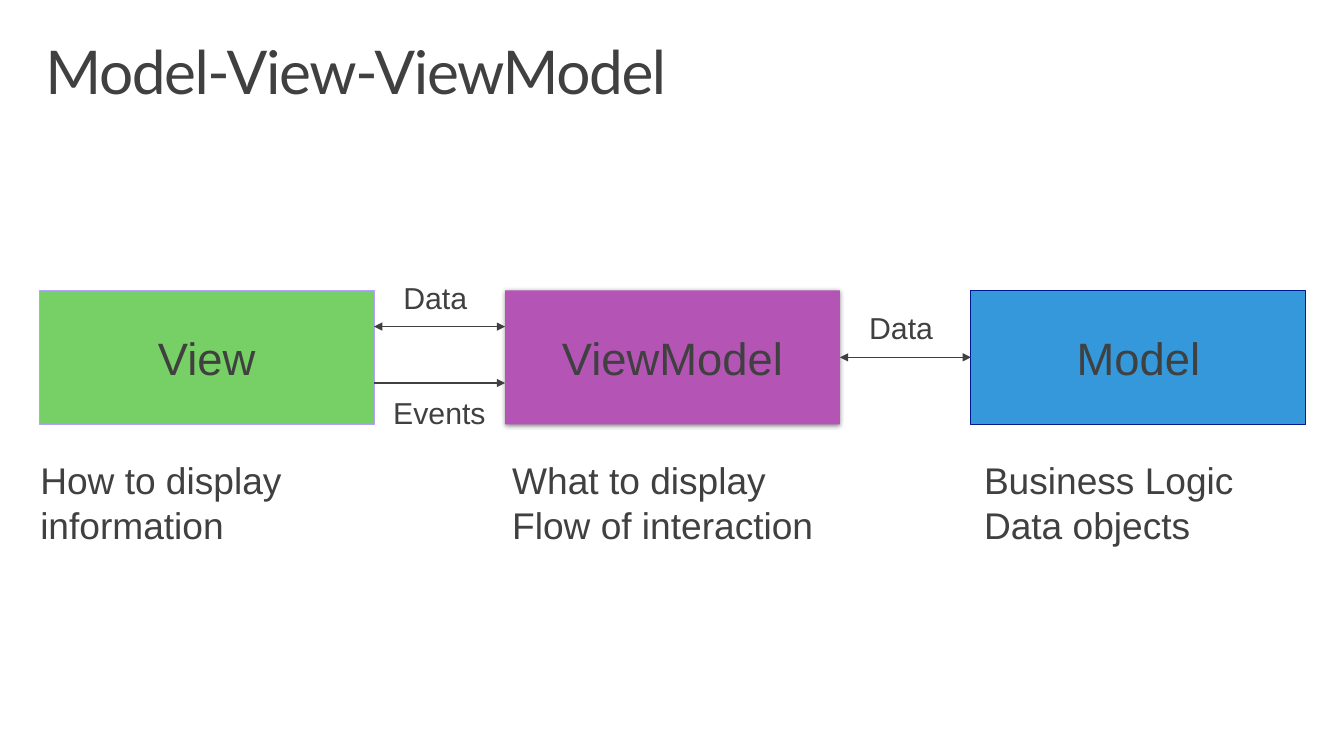
from typing import NamedTuple, Optional

from lxml import etree
from pptx import Presentation
from pptx.dml.color import RGBColor
from pptx.enum.shapes import MSO_CONNECTOR, MSO_SHAPE
from pptx.enum.text import MSO_ANCHOR, MSO_AUTO_SIZE, PP_ALIGN
from pptx.oxml.ns import qn
from pptx.util import Inches, Pt

RECT = MSO_SHAPE.RECTANGLE
STRAIGHT = MSO_CONNECTOR.STRAIGHT
TOP, MIDDLE = MSO_ANCHOR.TOP, MSO_ANCHOR.MIDDLE
LEFT, CENTER = PP_ALIGN.LEFT, PP_ALIGN.CENTER
NO_FIT, GROW = MSO_AUTO_SIZE.NONE, MSO_AUTO_SIZE.SHAPE_TO_FIT_TEXT

TEXT = RGBColor(0x40, 0x40, 0x40)
GREEN = RGBColor(0x77, 0xD0, 0x65)
LILAC = RGBColor(0xB4, 0xA0, 0xFF)
PURPLE = RGBColor(0xB4, 0x55, 0xB6)
BLUE = RGBColor(0x34, 0x98, 0xDB)
NAVY = RGBColor(0x00, 0x18, 0x8F)

# Grid: three layers of equal width and the gaps between them, in inches
GRID_LEFT, LAYER_W, GAP = 0.39, 3.32, 1.3
LAYER_TOP, LAYER_H = 2.88, 1.33
CAPTION_LEFT, CAPTION_PITCH, CAPTION_TOP = 0.27, 4.68, 4.47
LABEL_H = 0.49


class Layer(NamedTuple):
    name: str
    fill: RGBColor
    line: Optional[RGBColor]
    caption: str
    caption_w: float
    caption_h: float


class Flow(NamedTuple):
    label: str
    gap: int               # gap to the right of this layer
    y: Optional[float]     # None joins the middles of the layers
    both_ways: bool
    label_dx: float        # label offset from the start of the gap
    label_top: float
    label_w: float


LAYERS = [
    Layer("View", GREEN, LILAC, "How to display information", 3.44, 1.03),
    Layer("ViewModel", PURPLE, None,
          "What to display\nFlow of interaction", 3.69, 1.03),
    Layer("Model", BLUE, NAVY, "Business Logic\nData objects", 3.44, 1.48),
]
FLOWS = [
    Flow("Data", 0, 3.24, True, 0.16, 2.7, 0.91),
    Flow("Events", 0, 3.8, False, 0.06, 3.84, 1.24),
    Flow("Data", 1, None, True, 0.16, 3.0, 0.91),
]


def layer_left(column: int) -> float:
    return GRID_LEFT + column * (LAYER_W + GAP)


def write(shape, text: str, size: float, font: str = "Arial", align=LEFT,
          anchor=TOP, wrap: bool = True, fit=GROW, insets=(0.13, 0.07)) -> None:
    tf = shape.text_frame
    tf.text = text
    tf.word_wrap, tf.auto_size, tf.vertical_anchor = wrap, fit, anchor
    tf.margin_left = tf.margin_right = Inches(insets[0])
    tf.margin_top = tf.margin_bottom = Inches(insets[1])
    for p in tf.paragraphs:
        p.alignment = align
        for r in p.runs:
            r.font.name, r.font.size = font, Pt(size)
            r.font.color.rgb = TEXT


def add_text(s, left: float, top: float, width: float, height: float,
             text: str, size: float, wrap: bool = True) -> None:
    box = s.shapes.add_textbox(Inches(left), Inches(top),
                               Inches(width), Inches(height))
    write(box, text, size, wrap=wrap)


def add_soft_shadow(shape) -> None:
    effects = shape._element.spPr.find(qn("a:effectLst"))
    shadow = etree.SubElement(effects, qn("a:outerShdw"), blurRad=str(Pt(3.5)),
                              dist=str(Pt(1.1)), dir="5400000", rotWithShape="0")
    color = etree.SubElement(shadow, qn("a:srgbClr"), val="000000")
    etree.SubElement(color, qn("a:alpha"), val="45000")


def add_layer(s, column: int, layer: Layer):
    sp = s.shapes.add_shape(RECT, Inches(layer_left(column)), Inches(LAYER_TOP),
                            Inches(LAYER_W), Inches(LAYER_H))
    sp.shadow.inherit = False
    sp.fill.solid()
    sp.fill.fore_color.rgb = layer.fill
    if layer.line is None:
        sp.line.fill.background()
        add_soft_shadow(sp)
    else:
        sp.line.color.rgb = layer.line
        sp.line.width = Pt(0.75)
    write(sp, layer.name, 32.4, align=CENTER, anchor=MIDDLE, fit=NO_FIT)
    add_text(s, CAPTION_LEFT + column * CAPTION_PITCH, CAPTION_TOP,
             layer.caption_w, layer.caption_h, layer.caption, 26.5)
    return sp


def add_flow(s, flow: Flow, boxes: list) -> None:
    start = layer_left(flow.gap) + LAYER_W
    y = LAYER_TOP + LAYER_H / 2 if flow.y is None else flow.y
    arrow = s.shapes.add_connector(STRAIGHT, Inches(start), Inches(y),
                                   Inches(start + GAP), Inches(y))
    if flow.y is None:
        arrow.begin_connect(boxes[flow.gap], 3)
        arrow.end_connect(boxes[flow.gap + 1], 1)
    arrow.line.color.rgb = TEXT
    arrow.line.width = Pt(0.85)
    ln = arrow.line._get_or_add_ln()
    if flow.both_ways:
        etree.SubElement(ln, qn("a:headEnd"), type="triangle")
    etree.SubElement(ln, qn("a:tailEnd"), type="triangle")
    etree.SubElement(arrow._element.spPr, qn("a:effectLst"))
    add_text(s, start + flow.label_dx, flow.label_top, flow.label_w, LABEL_H,
             flow.label, 21.6, wrap=False)


def add_title(s, text: str) -> None:
    title = s.shapes.title
    title.left, title.top = Inches(0.29), Inches(0.32)
    title.width, title.height = Inches(12.75), Inches(0.98)
    write(title, text, 43.1, font="Lato", fit=NO_FIT, insets=(0.16, 0.1))
    p = title.text_frame.paragraphs[0]
    p.line_spacing = 0.9
    p.runs[0].font._element.set("spc", "-100")


def main() -> None:
    prs = Presentation()
    prs.slide_width, prs.slide_height = Inches(13.33), Inches(7.5)
    s = prs.slides.add_slide(prs.slide_layouts[5])

    # Title
    add_title(s, "Model-View-ViewModel")

    # Layers with their captions
    boxes = [add_layer(s, column, layer) for column, layer in enumerate(LAYERS)]

    # Arrows between the layers
    for flow in FLOWS:
        add_flow(s, flow, boxes)

    prs.save("out.pptx")


if __name__ == "__main__":
    main()
